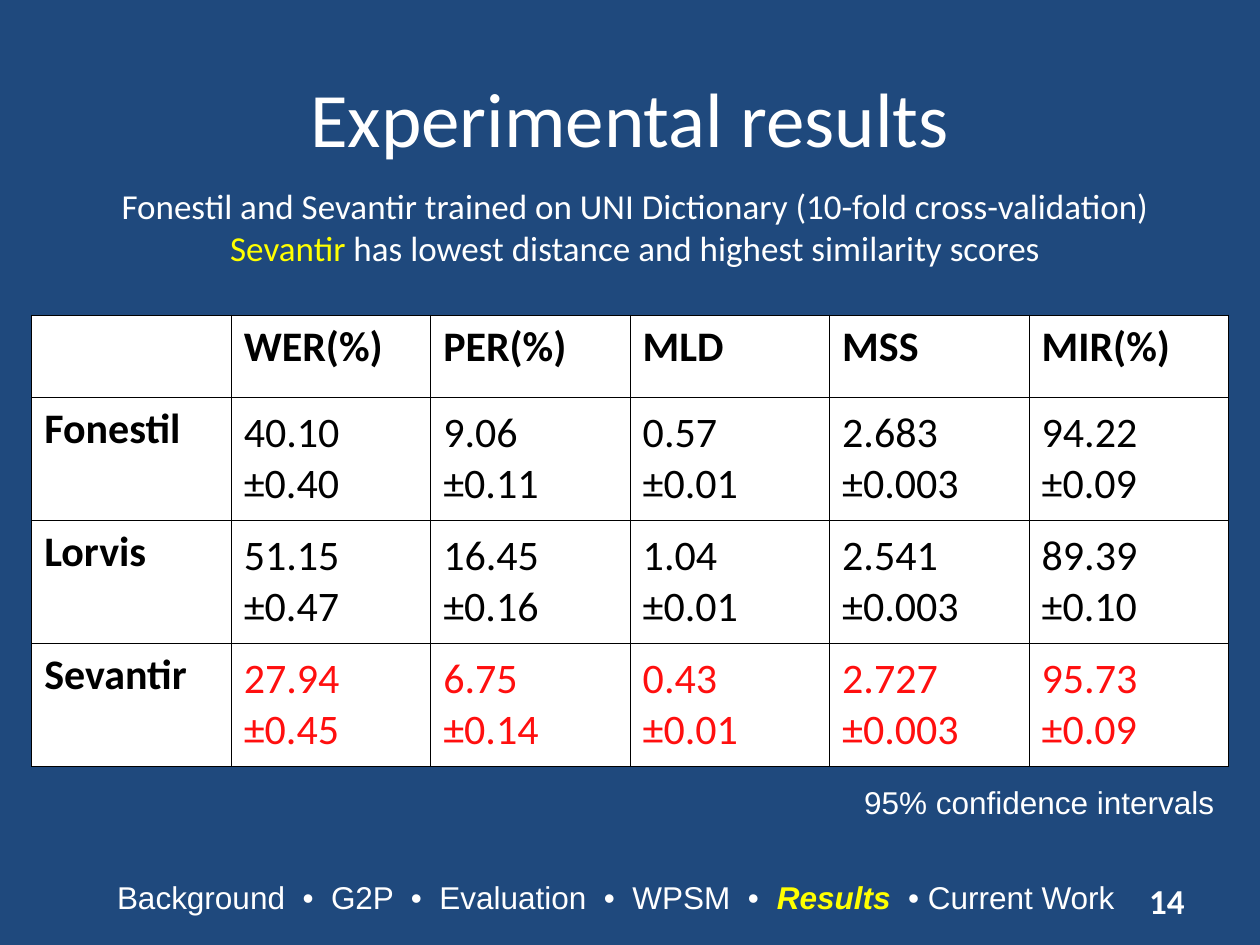
from lxml import etree
from pptx import Presentation
from pptx.dml.color import RGBColor
from pptx.enum.text import MSO_ANCHOR, PP_ALIGN
from pptx.oxml.ns import qn
from pptx.util import Cm, Pt

LEFT, MID, RIGHT = PP_ALIGN.LEFT, PP_ALIGN.CENTER, PP_ALIGN.RIGHT
TOP, HALF = MSO_ANCHOR.TOP, MSO_ANCHOR.MIDDLE
TITLE_ONLY = 5
BREAK = "\v"
COLORS = {
    "back": "1F497D",
    "white": "FFFFFF",
    "black": "000000",
    "mark": "FFFF00",
    "best": "FF0F0F",
}
BEST = "Sevantir"
HEADS = ["", "WER(%)", "PER(%)", "MLD", "MSS", "MIR(%)"]
SCORES = [
    ["Fonestil", "40.10 ±0.40", "9.06 ±0.11", "0.57 ±0.01", "2.683 ±0.003", "94.22 ±0.09"],
    ["Lorvis", "51.15 ±0.47", "16.45 ±0.16", "1.04 ±0.01", "2.541 ±0.003", "89.39 ±0.10"],
    [BEST, "27.94 ±0.45", "6.75 ±0.14", "0.43 ±0.01", "2.727 ±0.003", "95.73 ±0.09"],
]


def rgb(name):
    return RGBColor.from_string(COLORS[name])


class Deck:
    """Holds the style and the current slide."""

    def __init__(self):
        self.file = Presentation()
        self.file.slide_width, self.file.slide_height = Cm(25.4), Cm(19.05)
        self.slide = self.file.slides.add_slide(self.file.slide_layouts[TITLE_ONLY])
        fill = self.slide.background.fill
        fill.solid()
        fill.fore_color.rgb = rgb("back")

    def style(self, run, size, face="Calibri", color="white", bold=False, slant=False):
        font = run.font
        font.size, font.name = Pt(size), face
        font.bold, font.italic = bold, slant
        font.color.rgb = rgb(color)

    def title(self, text, box):
        shape = self.slide.shapes.title
        shape.left, shape.top, shape.width, shape.height = map(Cm, box)
        shape.text_frame.text = text
        shape.text_frame.vertical_anchor = HALF
        para = shape.text_frame.paragraphs[0]
        para.alignment = MID
        self.style(para.runs[0], 44)

    def text(self, parts, box, size, face="Calibri", align=LEFT, anchor=TOP, wrap=True):
        """Adds a text box; each part is a text and the style that sets it apart."""
        frame = self.slide.shapes.add_textbox(*map(Cm, box)).text_frame
        frame.word_wrap, frame.vertical_anchor = wrap, anchor
        para = frame.paragraphs[0]
        para.alignment = align
        for text, look in parts:
            if text == BREAK:
                para.add_line_break()
                continue
            run = para.add_run()
            run.text = text
            self.style(run, size, face, **look)

    def border(self, cell):
        props = cell._tc.get_or_add_tcPr()
        for spot, side in enumerate(("lnL", "lnR", "lnT", "lnB")):
            line = etree.Element(qn(f"a:{side}"), w=str(Pt(0.45)))
            fill = etree.SubElement(line, qn("a:solidFill"))
            etree.SubElement(fill, qn("a:srgbClr"), val=COLORS["black"])
            props.insert(spot, line)

    def cell(self, cell, text, color, bold):
        cell.fill.solid()
        cell.fill.fore_color.rgb = rgb("white")
        self.border(cell)
        cell.vertical_anchor = TOP if bold else HALF
        cell.text_frame.text = text
        para = cell.text_frame.paragraphs[0]
        para.space_before = Pt(6)
        for run in para.runs:
            self.style(run, 24, color=color, bold=bold)

    def table(self, rows, box, heights):
        shape = self.slide.shapes.add_table(len(rows), len(rows[0]), *map(Cm, box))
        grid = shape.table
        for row, high in zip(grid.rows, heights):
            row.height = Cm(high)
        for r, row in enumerate(rows):
            for c, text in enumerate(row):
                label = r == 0 or c == 0
                color = "best" if row[0] == BEST and not label else "black"
                self.cell(grid.cell(r, c), text, color, label)


def main():
    deck = Deck()
    deck.title("Experimental results", (1.27, 0.76, 22.86, 3.18))
    deck.table([HEADS] + SCORES, (0.64, 6.35, 24.13, 9.1), [1.66] + [2.48] * 3)
    deck.text(
        [
            (f"Fonestil and {BEST} trained on UNI Dictionary (10-fold cross-validation)", {}),
            (BREAK, {}),
            (BEST, {"color": "mark"}),
            (" has lowest distance and highest similarity scores", {}),
        ],
        (0.84, 3.6, 23.93, 1.96), 20, align=MID,
    )
    deck.text([("95% confidence intervals", {})], (17.17, 15.67, 7.57, 1.02), 18, "Arial", wrap=False)
    deck.text([("14", {"bold": True})], (18.2, 17.65, 5.93, 1.02), 20, align=RIGHT, anchor=HALF)
    deck.text(
        [
            ("Background  •  G2P  •  Evaluation  •  WPSM  •  ", {}),
            ("Results", {"color": "mark", "bold": True, "slant": True}),
            ("  • Current Work", {}),
        ],
        (2.11, 17.58, 20.62, 1.02), 18, "Arial", wrap=False,
    )
    deck.file.save("out.pptx")


if __name__ == "__main__":
    main()
